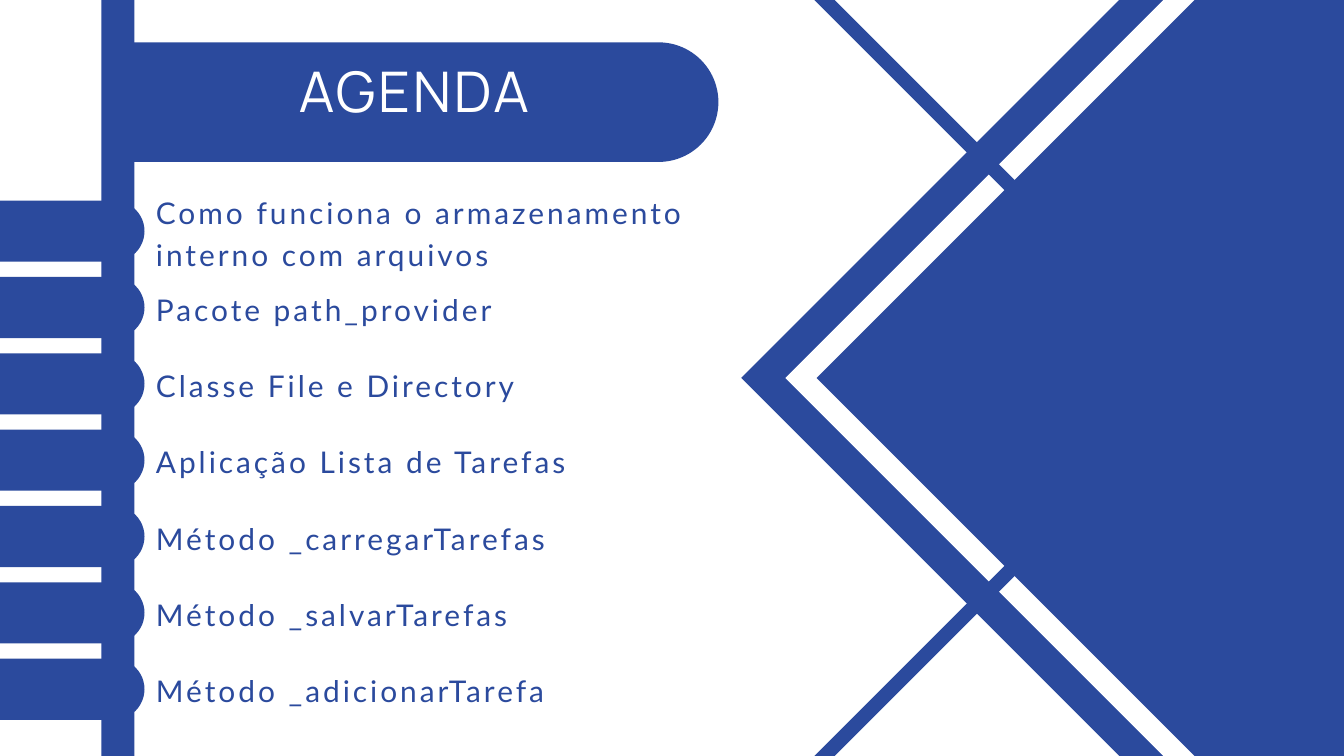
from pptx import Presentation, util as u
from pptx.dml import color
from pptx.enum import shapes, text

BLUE, WHITE = "2B4A9D", "FFFFFF"
PRESET = shapes.MSO_SHAPE

presentation = Presentation()
presentation.slide_width, presentation.slide_height = u.Inches(20), u.Inches(11.25)
slide = presentation.slides.add_slide(presentation.slide_layouts[5])


def add_block(preset, center_x, center_y, width, height, fill, rotation=0, adjust=None):
    """Add a plain filled shape around its centre, in inches."""
    shape = slide.shapes.add_shape(
        preset, u.Inches(center_x - width / 2), u.Inches(center_y - height / 2),
        u.Inches(width), u.Inches(height))
    shape.rotation = rotation
    if adjust is not None:
        shape.adjustments[0] = adjust
    shape.fill.solid()
    shape.fill.fore_color.rgb = color.RGBColor.from_string(fill)
    shape.line.fill.background()
    shape.shadow.inherit = False


def write(shape, words, *, box, size, font, fill, leading, tracking, align):
    """Place a text shape and fill it; box is left, top, width, height in inches."""
    shape.left, shape.top, shape.width, shape.height = map(u.Inches, box)
    frame = shape.text_frame
    frame.word_wrap = True
    frame.auto_size = text.MSO_AUTO_SIZE.NONE
    frame.vertical_anchor = text.MSO_ANCHOR.TOP
    frame.margin_left = frame.margin_right = frame.margin_top = frame.margin_bottom = 0
    paragraph = frame.paragraphs[0]
    paragraph.alignment = align
    paragraph.line_spacing = u.Pt(leading)
    run = paragraph.add_run()
    run.text = words
    run.font.size, run.font.name = u.Pt(size), font
    run.font.color.rgb = color.RGBColor.from_string(fill)
    run._r.get_or_add_rPr().set("spc", str(round(tracking * 100)))


# Spine and the nested diamonds on the right
middle = 11.25 / 2
add_block(PRESET.RECTANGLE, 1.755, middle, 0.49, 11.25, BLUE)
add_block(PRESET.RECTANGLE, 18.9, middle, 11.13, 11.13, BLUE, 45)
add_block(PRESET.FRAME, 18.95, middle, 10.27, 10.27, WHITE, 45, 0.0317)
for side in (1, -1):
    add_block(PRESET.FRAME, 15.97, middle + side * 6.54, 6.74, 6.74, BLUE, 45, 0.0315)

# Title on its rounded banner
add_block(PRESET.ROUND_2_SAME_RECTANGLE, 6.34, 1.52, 1.78, 8.7, BLUE, 90, 0.5)
title = slide.shapes.title
slide.shapes.element.append(title.element)  # bring in front of the banner
write(title, "AGENDA", box=(2.32, 0.96, 7.68, 0.98), size=60, font="Manrope",
      fill=WHITE, leading=63, tracking=3, align=text.PP_ALIGN.CENTER)

# One tab and one line of agenda per row: wording, lines, width
first_row, row_pitch, line_height = 3.44, 1.136, 0.6
agenda = [
    ("Como funciona o armazenamento interno com arquivos", 2, 8.03),
    ("Pacote path_provider", 1, 8.03),
    ("Classe File e Directory", 1, 8.03),
    ("Aplicação Lista de Tarefas", 1, 8.03),
    ("Método _carregarTarefas", 1, 8.88),
    ("Método _salvarTarefas", 1, 8.88),
    ("Método _adicionarTarefa", 1, 8.88),
]
for index, (topic, lines, width) in enumerate(agenda):
    row = first_row + index * row_pitch
    height = lines * line_height
    add_block(PRESET.ROUND_2_SAME_RECTANGLE, 1.075, row, 0.91, 2.15, BLUE, 90, 0.5)
    write(slide.shapes.add_textbox(0, 0, 0, 0), topic,
          box=(2.32, row - height / 2 - 0.03, width, height), size=32, font="Lato",
          fill=BLUE, leading=44.8, tracking=3.2, align=text.PP_ALIGN.LEFT)

presentation.save("out.pptx")
